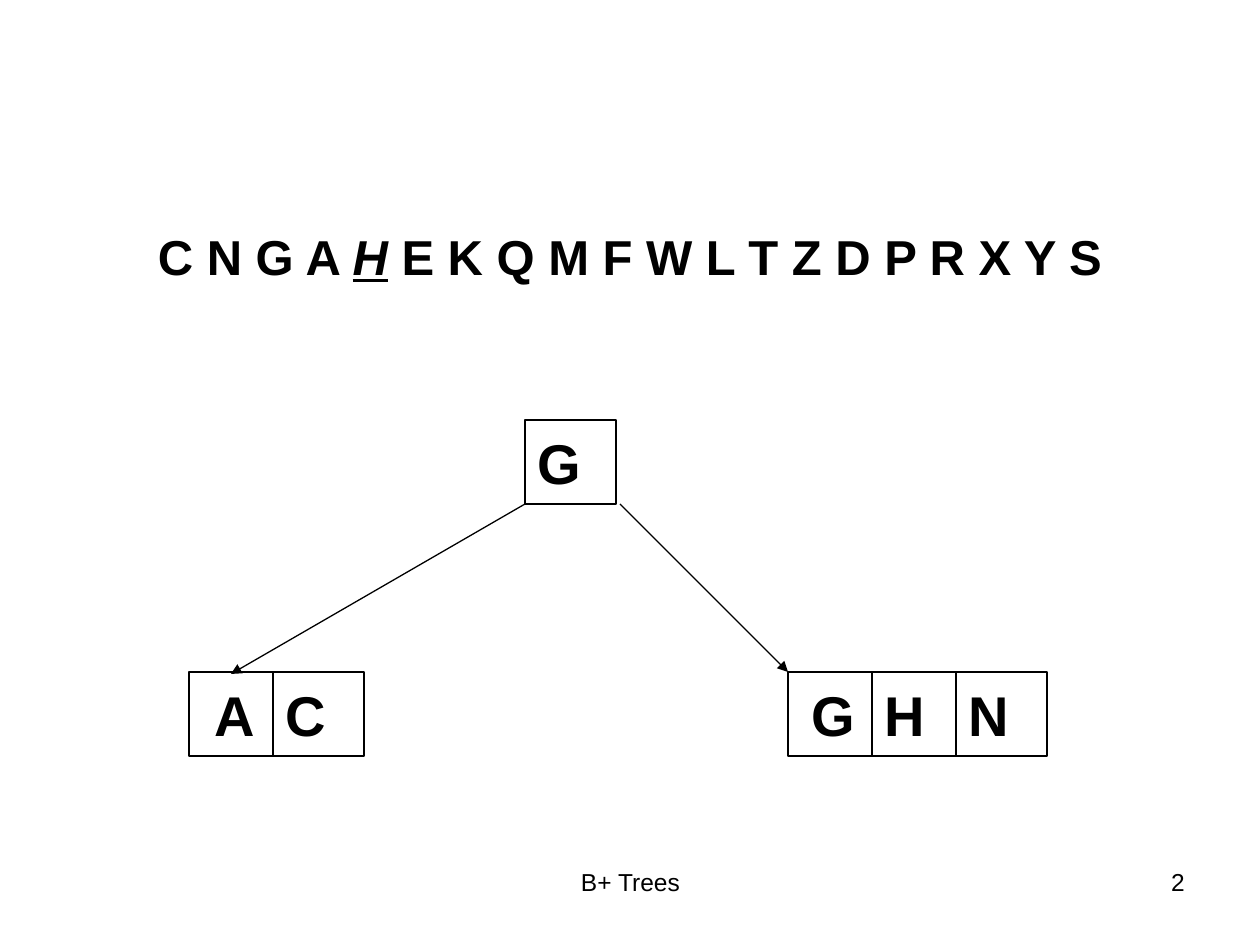
from lxml import etree
from pptx import Presentation
from pptx.dml.color import RGBColor
from pptx.enum.shapes import MSO_CONNECTOR, MSO_SHAPE
from pptx.enum.text import MSO_ANCHOR, PP_ALIGN
from pptx.oxml.ns import qn
from pptx.util import Emu, Pt

BLACK = RGBColor(0, 0, 0)
WHITE = RGBColor(255, 255, 255)
LEFT, CENTER, RIGHT = PP_ALIGN.LEFT, PP_ALIGN.CENTER, PP_ALIGN.RIGHT
TOP, MIDDLE = MSO_ANCHOR.TOP, MSO_ANCHOR.MIDDLE
RECTANGLE = MSO_SHAPE.RECTANGLE
STRAIGHT = MSO_CONNECTOR.STRAIGHT

PX = 914400 / 126
CELL_PITCH, CELL_WIDTH, CELL_HEIGHT = 84, 91, 84
ROOT_TOP, LEAF_TOP = 420, 672
FOOTER_TOP, FOOTER_HEIGHT = 861, 66


def px(*lengths):
    return [Emu(round(length * PX)) for length in lengths]


class TreePage:
    font = "Arial"
    line_width = Pt(0.75)

    def __init__(self, page):
        self.page = page

    def style(self, para, size, align, bold=False):
        para.alignment = align
        for span in para.runs:
            span.font.name = self.font
            span.font.size = Pt(size)
            span.font.bold = bold
            span.font.color.rgb = BLACK

    def text(self, spans, area, size, align, bold=False):
        box = self.page.shapes.add_textbox(*px(*area))
        frame = box.text_frame
        frame.word_wrap = True
        frame.vertical_anchor = TOP
        para = frame.paragraphs[0]
        for words in spans:
            para.add_run().text = words
        self.style(para, size, align, bold)
        return para

    def cell(self, shapes, key, left, top, align):
        box = shapes.add_shape(RECTANGLE, *px(left, top, CELL_WIDTH, CELL_HEIGHT))
        box.shadow.inherit = False
        box.fill.solid()
        box.fill.fore_color.rgb = WHITE
        box.line.color.rgb = BLACK
        box.line.width = self.line_width
        box.text_frame.text = key
        box.text_frame.vertical_anchor = MIDDLE
        self.style(box.text_frame.paragraphs[0], 32, align, bold=True)

    def leaf(self, keys, left):
        group = self.page.shapes.add_group_shape()
        for index, key in enumerate(keys):
            align = LEFT if index else CENTER
            self.cell(group.shapes, key, left + index * CELL_PITCH, LEAF_TOP, align)

    def root(self, key, left):
        self.cell(self.page.shapes, key, left, ROOT_TOP, LEFT)

    def arrow(self, start, end):
        arrow = self.page.shapes.add_connector(STRAIGHT, *px(*start, *end))
        arrow.line.color.rgb = BLACK
        arrow.line.width = self.line_width
        properties = arrow.element.spPr
        etree.SubElement(properties.find(qn("a:ln")), qn("a:tailEnd"), type="triangle")
        etree.SubElement(properties, qn("a:effectLst"))


def main():
    deck = Presentation()
    deck.slide_width, deck.slide_height = px(1260, 945)
    tree = TreePage(deck.slides.add_slide(deck.slide_layouts[6]))

    keys = tree.text(
        ["C N G A ", "H", " E K Q M F W L T Z D P R X Y S"],
        (63, 220, 1134, 624), 28, CENTER, bold=True,
    )
    keys.space_before = Pt(7)
    inserted = keys.runs[1].font
    inserted.italic = True
    inserted.underline = True

    tree.leaf("AC", 189)
    tree.root("G", 525)
    tree.leaf("GHN", 788)
    tree.arrow((525, 504), (231, 674))
    tree.arrow((620, 504), (788, 672))

    tree.text(["B+ Trees"], (431, FOOTER_TOP, 399, FOOTER_HEIGHT), 14, CENTER)
    tree.text(["2"], (903, FOOTER_TOP, 294, FOOTER_HEIGHT), 14, RIGHT)
    deck.save("out.pptx")


if __name__ == "__main__":
    main()
